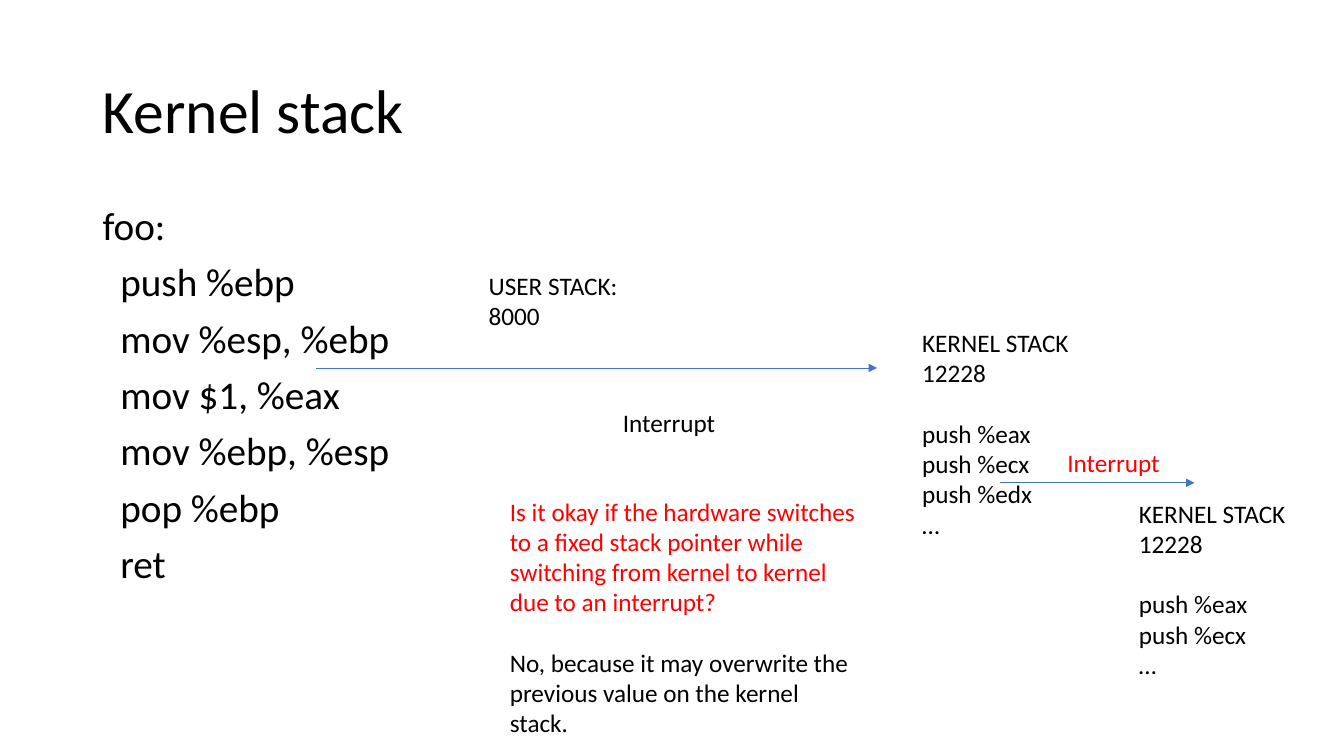
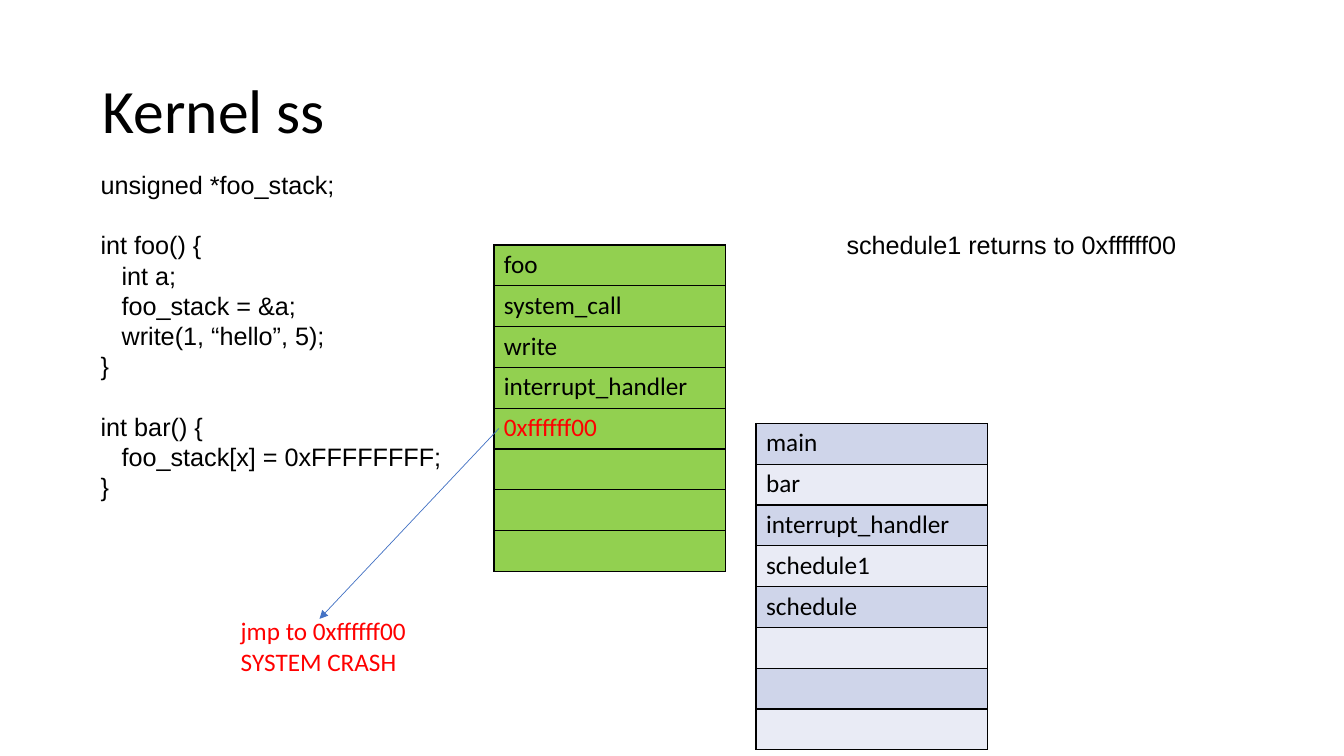
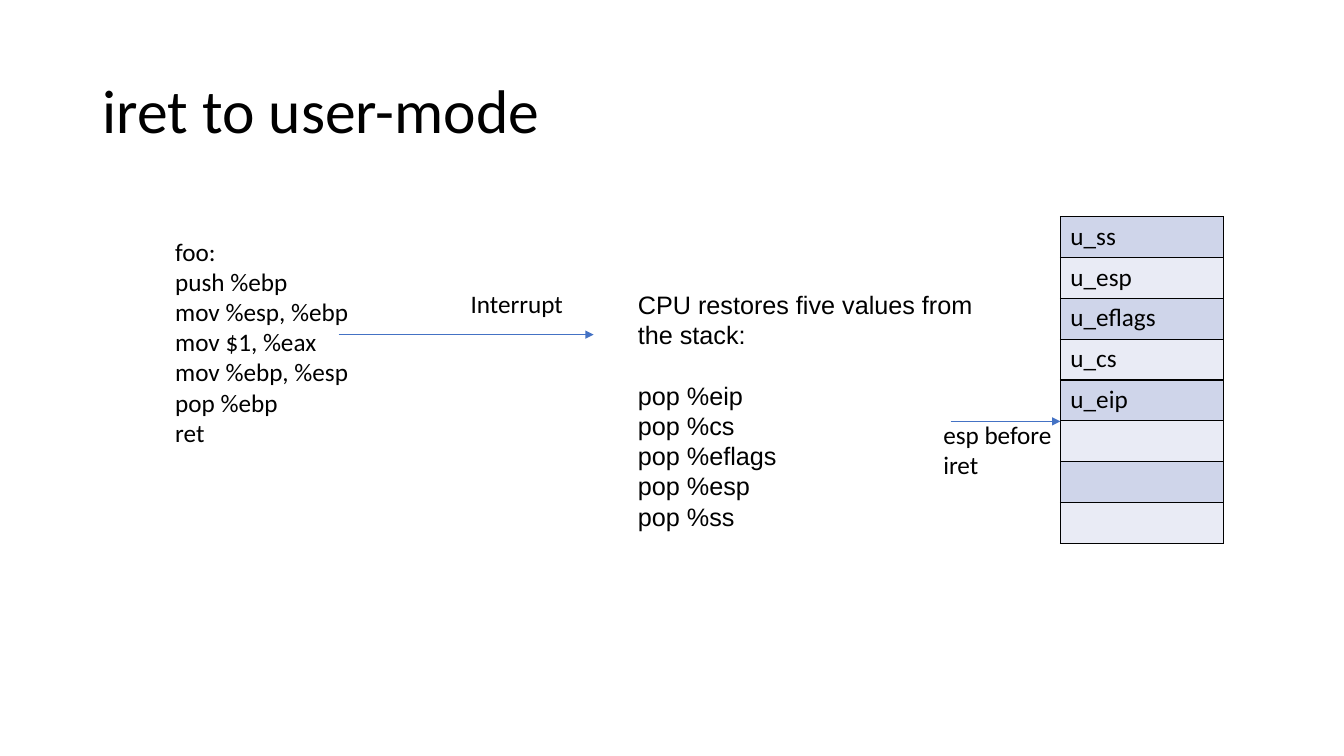
from itertools import cycle

from lxml import etree
from pptx import Presentation
from pptx import util as u
from pptx.dml.color import RGBColor
from pptx.enum import shapes, text
from pptx.oxml import ns

COLS, ROWS = 40, 22.5
CELL = u.Inches(1) / 3
BLACK = RGBColor(0x00, 0x00, 0x00)
RED = RGBColor(0xFF, 0x00, 0x00)
BLUE = RGBColor(0x44, 0x72, 0xC4)
GREEN = RGBColor(0x92, 0xD0, 0x50)
BAND_DARK = RGBColor(0xCF, 0xD5, 0xEA)
BAND_LIGHT = RGBColor(0xE9, 0xEB, 0xF5)
BANDS = (BAND_DARK, BAND_LIGHT)
BODY, LINE = u.Pt(18), u.Pt(21.6)
TABLE_ROWS, TABLE_HEIGHT = 8, 9.72
FOO = ["push %ebp", "mov %esp, %ebp", "mov $1, %eax", "mov %ebp, %esp", "pop %ebp", "ret"]


def grid(*cells):
    """Convert grid cells to slide lengths."""
    return [u.Emu(round(c * CELL)) for c in cells]


def style(p, size=BODY, color=BLACK, name="Calibri", spacing=LINE):
    """Set the font and line spacing of a paragraph."""
    p.line_spacing = spacing
    p.font.size, p.font.name = size, name
    p.font.color.rgb = color


def add_slide(prs, title):
    """Add a slide with the shared title style."""
    s = prs.slides.add_slide(prs.slide_layouts[5])
    sp = s.shapes.title
    sp.left, sp.top, sp.width, sp.height = grid(2.76, 1.2, 34.5, 4.35)
    tf = sp.text_frame
    tf.text = title
    tf.vertical_anchor = text.MSO_ANCHOR.MIDDLE
    p = tf.paragraphs[0]
    p.alignment = text.PP_ALIGN.LEFT
    style(p, u.Pt(44), spacing=0.9)
    return s


def add_text(s, box, blocks, before=0, **font):
    """Add blocks of lines, set apart by one line, and return the text frame."""
    tf = s.shapes.add_textbox(*grid(*box)).text_frame
    tf.word_wrap = True
    p = None
    for block in blocks:
        for i, line in enumerate(block):
            first = p is None
            p = tf.paragraphs[0] if first else tf.add_paragraph()
            p.text = line
            if not first:
                p.space_before = before if i else LINE
            style(p, **font)
    return tf


def add_arrow(s, x1, y1, x2, y2):
    """Add a thin line ending in a triangle."""
    c = s.shapes.add_connector(shapes.MSO_CONNECTOR.STRAIGHT, *grid(x1, y1, x2, y2))
    c.line.color.rgb, c.line.width = BLUE, u.Pt(0.5)
    etree.SubElement(c.line._get_or_add_ln(), ns.qn("a:tailEnd"), type="triangle")
    etree.SubElement(c._element.spPr, ns.qn("a:effectLst"))


def add_borders(cell):
    """Draw a black border on each side of a cell."""
    props = cell._tc.get_or_add_tcPr()
    for i, side in enumerate(("lnL", "lnR", "lnT", "lnB")):
        ln = etree.Element(ns.qn(f"a:{side}"), w=str(u.Pt(1)))
        fill = etree.SubElement(ln, ns.qn("a:solidFill"))
        etree.SubElement(fill, ns.qn("a:srgbClr"), val=str(BLACK))
        props.insert(i, ln)


def add_stack(s, x, y, width, frames, fills):
    """Add a one-column table of stack frames and return it."""
    box = grid(x, y, width, TABLE_HEIGHT)
    table = s.shapes.add_table(TABLE_ROWS, 1, *box).table
    table.first_row = table.horz_banding = False
    for i, (row, fill) in enumerate(zip(table.rows, cycle(fills))):
        cell = row.cells[0]
        cell.text = frames[i] if i < len(frames) else ""
        cell.fill.solid()
        cell.fill.fore_color.rgb = fill
        add_borders(cell)
        style(cell.text_frame.paragraphs[0])
    return table


def add_kernel_stack(s, box, registers):
    """Add the kernel stack pointer and the registers pushed on it."""
    pushes = [f"push %{name}" for name in registers]
    add_text(s, box, [["KERNEL STACK", "12228"], pushes + ["…"]])


def kernel_stack(prs):
    """Build the slide on nested interrupts."""
    s = add_slide(prs, "Kernel stack")
    code = ["foo:"] + ["  " + line for line in FOO]
    add_text(s, (2.76, 6, 34.5, 14.28), [code], before=u.Pt(10), size=u.Pt(28), spacing=0.9)
    add_arrow(s, 9.42, 10.95, 26.1, 10.95)
    add_text(s, (14.25, 7.89, 6.87, 2.13), [["USER STACK:", "8000"]])
    add_text(s, (18.24, 11.97, 6.93, 1.2), [["Interrupt"]])
    add_kernel_stack(s, (27.15, 9.6, 6.6, 6.66), ["eax", "ecx", "edx"])
    tf = add_text(s, (14.88, 14.61, 11.1, 7.56), [
        ["Is it okay if the hardware switches to a fixed stack pointer while "
         "switching from kernel to kernel due to an interrupt?"],
        ["No, because it may overwrite the previous value on the kernel stack."],
    ])
    tf.paragraphs[0].font.color.rgb = RED
    add_arrow(s, 29.76, 14.37, 35.55, 14.37)
    add_text(s, (31.47, 13.17, 6.93, 1.2), [["Interrupt"]], color=RED)
    add_kernel_stack(s, (33.6, 14.67, 6.4, 5.76), ["eax", "ecx"])


def kernel_ss(prs):
    """Build the slide on a corrupted return address."""
    s = add_slide(prs, "Kernel ss")
    add_text(s, (2.7, 4.89, 15.45, 11.22), [
        ["unsigned *foo_stack;"],
        ["int foo() {", "   int a;", "   foo_stack = &a;", "   write(1, “hello”, 5);", "}"],
        ["int bar() {", "   foo_stack[x] = 0xFFFFFFFF;", "}"],
    ], name="Arial")
    add_text(s, (24.9, 6.69, 13.71, 1.2), [["schedule1 returns to 0xffffff00"]], name="Arial")
    frames = ["foo", "system_call", "write", "interrupt_handler", "0xffffff00"]
    table = add_stack(s, 14.7, 7.29, 6.9, frames, [GREEN])
    table.cell(4, 0).text_frame.paragraphs[0].font.color.rgb = RED
    frames = ["main", "bar", "interrupt_handler", "schedule1", "schedule"]
    add_stack(s, 22.5, 12.6, 6.9, frames, BANDS)
    add_arrow(s, 14.85, 12.75, 9.51, 18.42)
    add_text(s, (6.87, 18.18, 6.9, 2.13), [["jmp to 0xffffff00", "SYSTEM CRASH"]], color=RED)


def iret(prs):
    """Build the slide on returning to user mode."""
    s = add_slide(prs, "iret to user-mode")
    registers = ["eip", "cs", "eflags", "esp", "ss"]
    add_stack(s, 31.56, 6.45, 4.86, [f"u_{name}" for name in reversed(registers)], BANDS)
    add_text(s, (4.92, 6.87, 8.82, 6.66), [["foo:"] + FOO])
    add_arrow(s, 10.08, 9.96, 17.67, 9.96)
    add_text(s, (13.71, 8.43, 6, 1.2), [["Interrupt"]])
    add_arrow(s, 28.29, 12.54, 31.56, 12.54)
    pops = [f"pop %{name}" for name in registers]
    add_text(s, (18.69, 8.46, 11.37, 7.56),
             [["CPU restores five values from the stack:"], pops], name="Arial")
    add_text(s, (27.78, 12.33, 5.28, 2.13), [["esp before", "iret"]])


def main():
    """Build and save the presentation."""
    prs = Presentation()
    prs.slide_width, prs.slide_height = grid(COLS, ROWS)
    kernel_stack(prs)
    kernel_ss(prs)
    iret(prs)
    prs.save("out.pptx")


if __name__ == "__main__":
    main()
